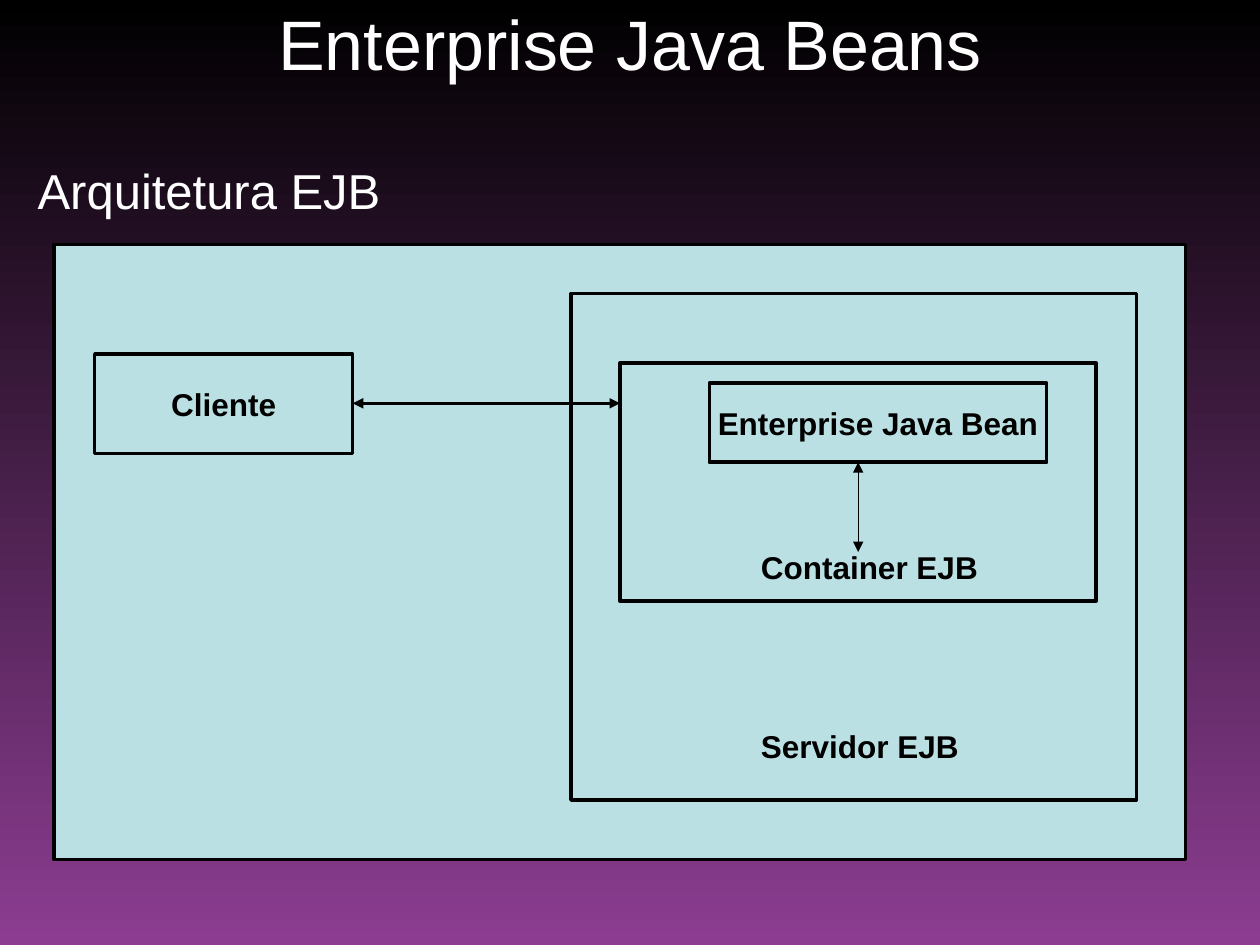
from lxml.etree import SubElement
from pptx import Presentation
from pptx.dml.color import RGBColor
from pptx.enum.shapes import MSO_CONNECTOR as Connector, MSO_SHAPE as Shape
from pptx.enum.text import MSO_ANCHOR as Anchor, PP_ALIGN as Align
from pptx.oxml.ns import qn
from pptx.util import Cm, Pt

BLACK = RGBColor(0x00, 0x00, 0x00)
WHITE = RGBColor(0xFF, 0xFF, 0xFF)
PURPLE = RGBColor(0x8C, 0x3D, 0x91)
PALE_BLUE = RGBColor(0xBB, 0xE0, 0xE3)
FONT = "Arial"


def paint_background(slide):
    fill = slide.background.fill
    fill.gradient()
    fill.gradient_angle = 270  # counter-clockwise: runs from top to bottom
    for stop, color in zip(fill.gradient_stops, (BLACK, PURPLE)):
        stop.color.rgb = color


def write(frame, text, size, color, bold=False, align=Align.LEFT,
          anchor=Anchor.TOP, wrap=True):
    frame.word_wrap = wrap
    frame.vertical_anchor = anchor
    para = frame.paragraphs[0]
    para.alignment = align
    span = para.add_run()
    span.text = text
    span.font.name = FONT
    span.font.size = Pt(size)
    span.font.bold = bold
    span.font.color.rgb = color


def set_title(slide, text):
    title = slide.shapes.title
    title.left, title.top = Cm(0), Cm(0)
    title.width, title.height = Cm(25.4), Cm(1.73)
    write(title.text_frame, text, 40, WHITE,
          align=Align.CENTER, anchor=Anchor.MIDDLE)


def add_label(slide, text, left, top, width, height=1.02, size=18,
              color=BLACK, bold=True):
    box = slide.shapes.add_textbox(Cm(left), Cm(top), Cm(width), Cm(height))
    write(box.text_frame, text, size, color, bold)


def add_block(slide, left, top, width, height, text=None):
    block = slide.shapes.add_shape(
        Shape.RECTANGLE, Cm(left), Cm(top), Cm(width), Cm(height))
    block.shadow.inherit = False
    block.fill.solid()
    block.fill.fore_color.rgb = PALE_BLUE
    block.line.color.rgb = BLACK
    block.line.width = Pt(2)
    if text:
        write(block.text_frame, text, 18, BLACK, bold=True,
              align=Align.CENTER, anchor=Anchor.MIDDLE, wrap=False)


def add_double_arrow(slide, start, end, width):
    arrow = slide.shapes.add_connector(
        Connector.STRAIGHT, *map(Cm, start), *map(Cm, end))
    arrow.line.color.rgb = BLACK
    arrow.line.width = Pt(width)
    line = arrow.line._get_or_add_ln()
    for tip in ("a:headEnd", "a:tailEnd"):
        SubElement(line, qn(tip), type="triangle")
    SubElement(arrow._element.spPr, qn("a:effectLst"))


def main():
    deck = Presentation()
    deck.slide_width, deck.slide_height = Cm(25.4), Cm(19.05)
    slide = deck.slides.add_slide(deck.slide_layouts[5])
    paint_background(slide)

    # Headings
    set_title(slide, "Enterprise Java Beans")
    add_label(slide, "Arquitetura EJB", 0.51, 3.12, 23.19, 1.45,
              size=28, color=WHITE, bold=False)

    # Panel, server, client, container and bean, from back to front
    add_block(slide, 1.09, 4.93, 22.81, 12.4)
    add_block(slide, 11.51, 5.92, 11.4, 10.21)
    add_block(slide, 1.91, 7.14, 5.2, 2, "Cliente")
    add_block(slide, 12.5, 7.32, 9.6, 4.8)
    add_block(slide, 14.3, 7.72, 6.8, 1.6, "Enterprise Java Bean")

    # Names of the container and the server
    add_label(slide, "Container EJB", 15.09, 10.92, 5)
    add_label(slide, "Servidor EJB", 15.09, 14.53, 4.6)

    # Links: bean to container, client to container
    add_double_arrow(slide, (17.3, 9.32), (17.3, 11.13), 0.75)
    add_double_arrow(slide, (7.11, 8.13), (12.5, 8.13), 2)

    deck.save("out.pptx")


if __name__ == "__main__":
    main()
